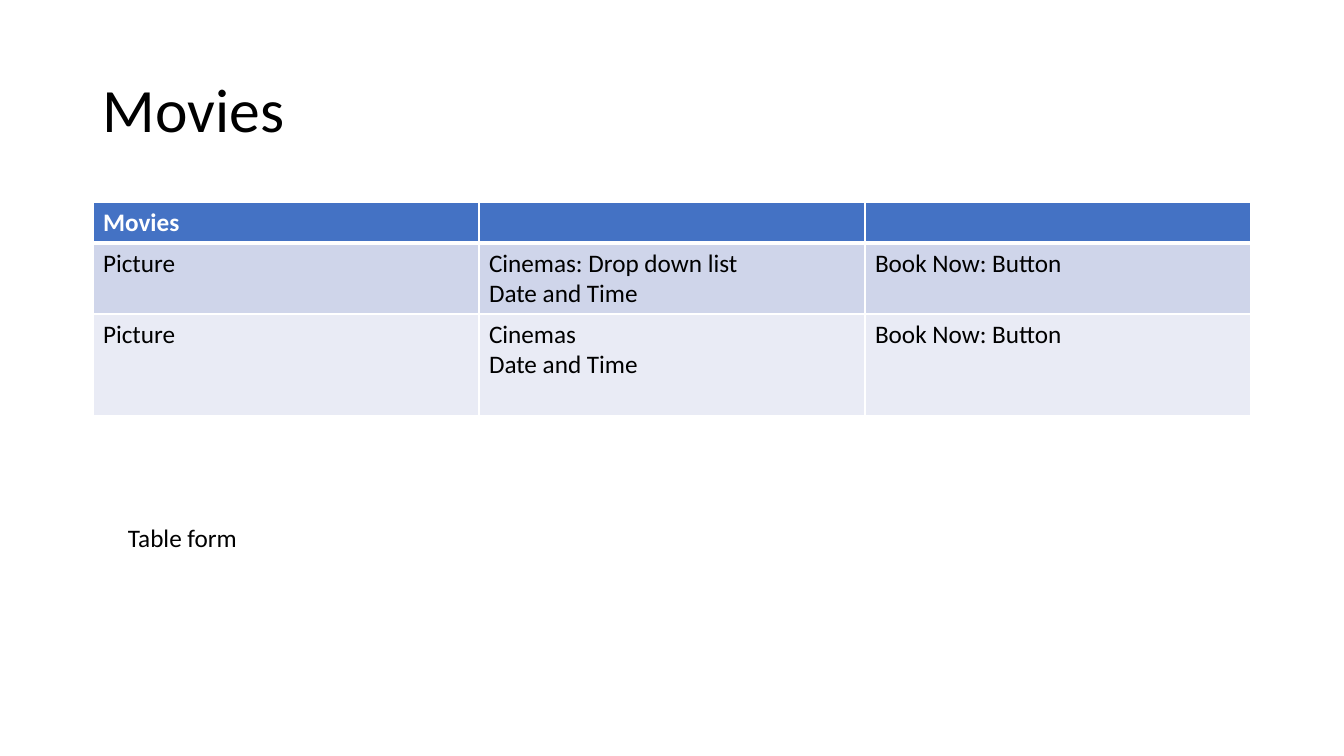
"""Build the Movies slide with a booking table and a caption."""
import lxml.etree
import pptx
import pptx.dml.color
import pptx.enum.text
import pptx.oxml.ns
import pptx.util

SCALE = 914400 / 100.8
BLACK, WHITE = "000000", "FFFFFF"


def px(length):
    return pptx.util.Emu(round(length * SCALE))


def style(paragraph, size, color, bold=False):
    paragraph.font.name = "Calibri"
    paragraph.font.size = pptx.util.Pt(size)
    paragraph.font.bold = bold
    paragraph.font.color.rgb = pptx.dml.color.RGBColor.from_string(color)


deck = pptx.Presentation()
deck.slide_width, deck.slide_height = px(1344), px(756)
page = deck.slides.add_slide(deck.slide_layouts[6])

captions = [
    ("Movies", 93, 40, 1159, 146, 44, 0.9),
    ("Table form", 118, 517, 306, 40, 18, 1.0),
]
for words, left, top, width, height, size, spacing in captions:
    box = page.shapes.add_textbox(px(left), px(top), px(width), px(height))
    box.text_frame.word_wrap = True
    box.text_frame.vertical_anchor = pptx.enum.text.MSO_ANCHOR.MIDDLE
    para = box.text_frame.paragraphs[0]
    para.text = words
    para.line_spacing = spacing
    style(para, size, BLACK)

rows = [
    (["Movies", "", ""], 41, "4472C4", WHITE),
    (["Picture", "Cinemas: Drop down list\nDate and Time", "Book Now: Button"], 71, "CFD5EA", BLACK),
    (["Picture", "Cinemas\nDate and Time", "Book Now: Button"], 102, "E9EBF5", BLACK),
]
table = page.shapes.add_table(3, 3, px(93), px(202), px(1158), px(214)).table
for column in table.columns:
    column.width = px(386)

for row_index, (texts, height, fill, color) in enumerate(rows):
    table.rows[row_index].height = px(height)
    edges = {
        "lnL": 1,
        "lnR": 1,
        "lnT": 3 if row_index == 1 else 1,
        "lnB": 3 if row_index == 0 else 1,
    }
    for column_index, words in enumerate(texts):
        cell = table.cell(row_index, column_index)
        cell.text = words
        for para in cell.text_frame.paragraphs:
            style(para, 18, color, bold=row_index == 0)
        properties = cell._tc.get_or_add_tcPr()
        for edge, weight in edges.items():
            line = lxml.etree.SubElement(
                properties, pptx.oxml.ns.qn(f"a:{edge}"), w=str(pptx.util.Pt(weight)))
            solid = lxml.etree.SubElement(line, pptx.oxml.ns.qn("a:solidFill"))
            lxml.etree.SubElement(solid, pptx.oxml.ns.qn("a:srgbClr"), val=WHITE)
        cell.fill.solid()
        cell.fill.fore_color.rgb = pptx.dml.color.RGBColor.from_string(fill)

deck.save("out.pptx")
